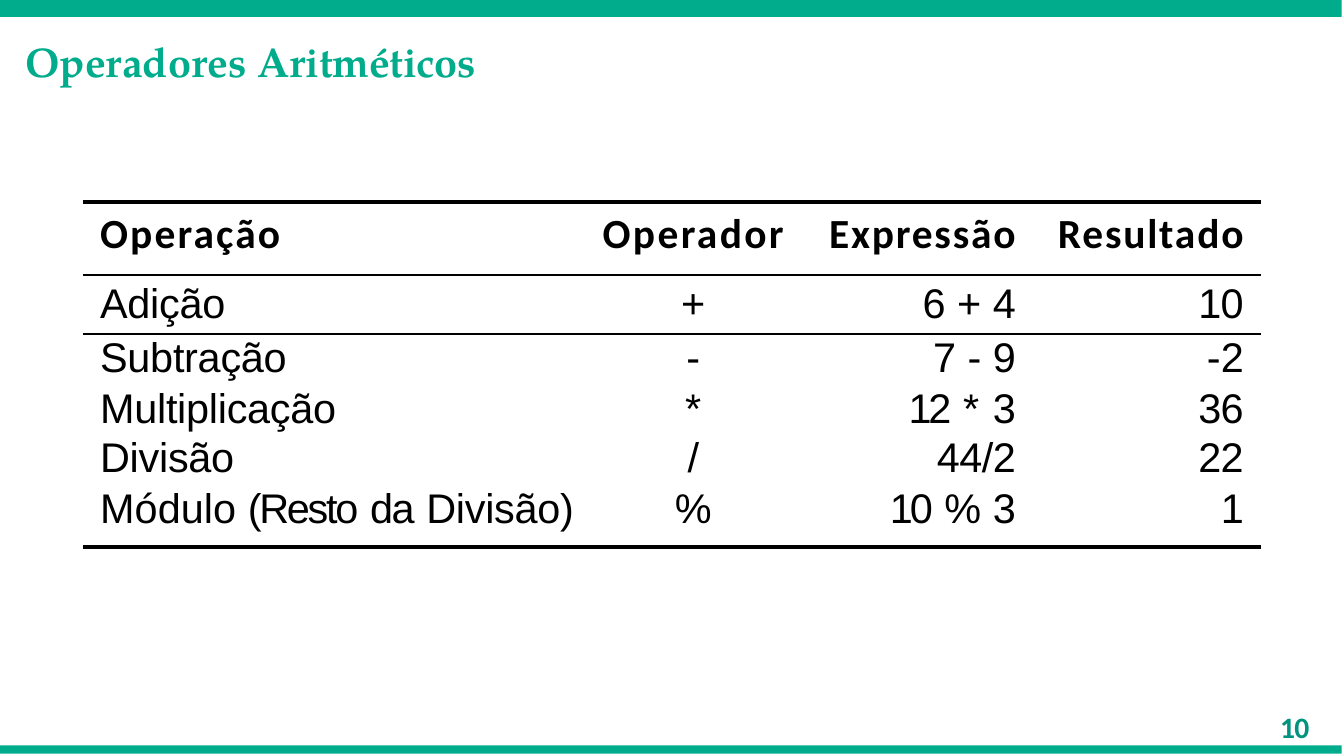
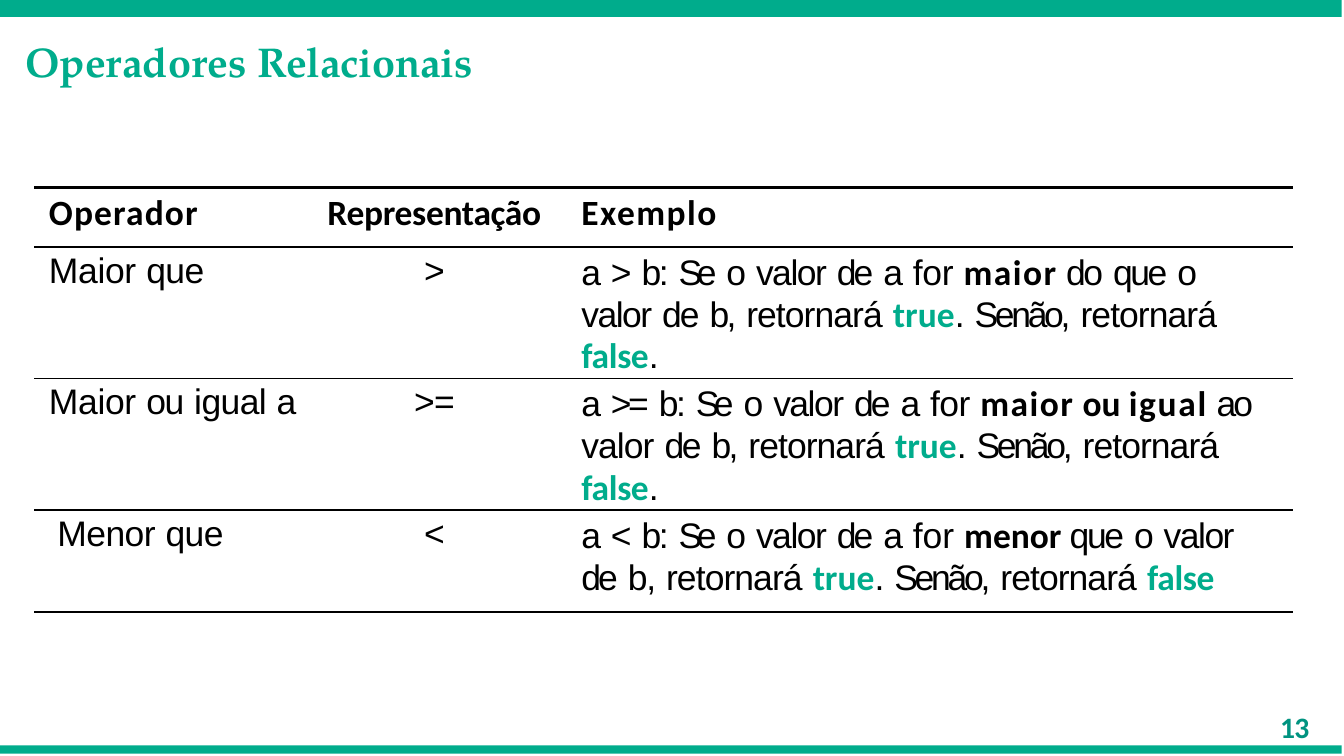
from itertools import groupby

from lxml.etree import SubElement
from pptx import Presentation
from pptx.dml.color import RGBColor
from pptx.enum.shapes import MSO_SHAPE
from pptx.enum.text import MSO_ANCHOR, PP_ALIGN
from pptx.oxml.ns import qn
from pptx.util import Inches, Pt

WIDTH, HEIGHT = 6.31, 3.55
BAND_WIDTH = 6.3
GREEN = RGBColor(0x00, 0xAC, 0x8C)
DARK_GREEN = RGBColor(0x00, 0x93, 0x80)
BLACK = RGBColor(0, 0, 0)
TITLE_FONT, BOLD_FONT, BODY_FONT = "TeX Gyre Pagella", "Calibri", "Arial"
NO_GRID_STYLE = "{2D5ABB26-0587-4C30-8999-92F81FD0307C}"
LEFT, CENTER, RIGHT = PP_ALIGN.LEFT, PP_ALIGN.CENTER, PP_ALIGN.RIGHT

# Cell layouts: top inset (inches), space before (points), line height (points)
TALL_HEAD, TALL_ROW, TIGHT_ROW = (0.03, 2.4, None), (0.03, 2.2, None), (0, 0, 15.8)
SMALL_HEAD, SMALL_ROW, SENTENCE = (0.02, 1.6, None), (0.02, 1.4, None), (0.03, 2.2, 14.1)

# Text is a list of spans: (words, letter spacing in points, optional emphasis)
EMPHASIS = {"bold": BLACK, "keyword": GREEN}


def example(symbol, symbol_spacing, for_spacing, *middle):
    """Sentence explaining a relational operator, up to the word false."""
    return [
        ("a ", -1.1), (symbol + " ", symbol_spacing), ("b: ", -0.8), ("Se ", -1.9),
        ("o ", -0.8), ("valor ", -0.5), ("de ", -1), ("a ", -1.1), ("for ", for_spacing),
        *middle,
        ("retornará ", -0.3), ("true", 0, "keyword"), (". ", 0), ("Senão, ", -1.1),
        ("retornará ", -0.3), ("false", -0.1, "keyword"),
    ]


# Content: columns are (width, alignment, right margin), rows are (height, layouts, cells),
# rules are line widths above, between and below the rows
SLIDES = [
    {
        "title": [("Operadores ", 0), ("Aritméticos", -0.1)],
        "number": "10",
        "corner": (0.39, 0.95),
        "size": 14,
        "indent": 0.08,
        "columns": [(2.34, LEFT, 0), (1.05, CENTER, 0),
                    (1.07, RIGHT, 0.08), (1.07, RIGHT, 0.08)],
        "rules": [1.5, 0.75, 0.75, 0, 0, 0, 1.5],
        "rows": [
            (0.34, [TALL_HEAD] * 4, [[("Operação", 0.7)], [("Operador", 0.8)],
                                     [("Expressão", 0.6)], [("Resultado", 0.6)]]),
            (0.28, [TALL_ROW] * 4, [[("Adição", -0.1)], [("+", -0.5)],
                                    [("6 ", -1.1), ("+ ", 0), ("4", -0.6)], [("10", -0.2)]]),
            (0.24, [TIGHT_ROW] * 4, [[("Subtração", -0.1)], [("-", -0.5)],
                                     [("7 ", -1.1), ("- ", 0), ("9", -0.5)],
                                     [("-", -0.5), ("2", -0.6)]]),
            (0.23, [TIGHT_ROW] * 4, [[("Multiplicação", -0.1)], [("*", 0.1)],
                                     [("12 ", -1.1), ("* ", 0.7), ("3", -0.5)],
                                     [("36", -0.2)]]),
            (0.24, [TIGHT_ROW] * 4, [[("Divisão", -0.1)], [("/", 0.2)],
                                     [("44/2", -0.2)], [("22", -0.2)]]),
            (0.29, [TIGHT_ROW] * 4, [[("Módulo ", 0), ("(Resto ", -0.8), ("da ", -0.5),
                                      ("Divisão)", -0.1)], [("%", -3.2)],
                                     [("10 ", -1.1), ("% ", -2.8), ("3", -0.5)],
                                     [("1", -0.5)]]),
        ],
    },
    {
        "title": [("Operadores ", 0), ("Relacionais", -0.1)],
        "number": "13",
        "corner": (0.16, 0.88),
        "size": 12,
        "indent": 0.07,
        "row_indents": {3: 0.11},
        "columns": [(1.26, LEFT, 0), (1.24, CENTER, 0), (3.41, LEFT, 0.12)],
        "rules": [1, 0.75, 0.75, 0.75, 1],
        "rows": [
            (0.28, [SMALL_HEAD] * 3,
             [[("Operador", 0.4)], [("Representação", -0.1)], [("Exemplo", 0.5)]]),
            (0.47, [SMALL_ROW, SMALL_ROW, SENTENCE],
             [[("Maior ", -0.1), ("que", -0.2)], [(">", -0.5)],
              example(">", -1.4, -0.1, ("maior ", 0.5, "bold"), ("do que o ", -0.8),
                      ("valor ", -0.5), ("de ", -0.7), ("b, ", -0.9)) + [(".", -0.1)]]),
            (0.47, [SMALL_ROW, SMALL_ROW, SENTENCE],
             [[("Maior ", -0.1), ("ou ", -0.5), ("igual ", -0.2), ("a", -0.5)], [(">=", -0.2)],
              example(">=", -1.2, -0.2, ("maior ", 0.5, "bold"), ("ou ", 0, "bold"),
                      ("igual ", 0.6, "bold"), ("ao ", -1), ("valor ", -0.3),
                      ("de ", -0.8), ("b, ", -0.9)) + [(".", -0.1)]]),
            (0.48, [SMALL_ROW, SMALL_ROW, SENTENCE],
             [[("Menor que", -0.2)], [("<", -0.5)],
              example("<", -1.4, 0, ("menor ", 0, "bold"), ("que o ", -0.8),
                      ("valor ", -0.5), ("de ", -1), ("b, ", -0.4))]),
        ],
    },
]


def style_font(font, name, color, bold):
    font.name, font.bold = name, bold
    font.color.rgb = color


def write(para, spans, size, name, color, bold, before=0, indent=0):
    """Fill a paragraph with spans; letter spacing applies to words, not to blanks."""
    para.space_before = Pt(before)
    para.font.size = Pt(size)
    style_font(para.font, name, color, bold)
    para._p.get_or_add_pPr().set("marL", str(Inches(indent)))
    for words, spacing, *emphasis in spans:
        for blank, letters in groupby(words, str.isspace):
            span = para.add_run()
            span.text = "".join(letters)
            span.font.size = Pt(size)
            if emphasis:
                style_font(span.font, BOLD_FONT, EMPHASIS[emphasis[0]], True)
            else:
                style_font(span.font, name, color, bold)
            if not blank:
                span._r.get_or_add_rPr().set("spc", str(round(spacing * 100)))


def add_band(page, top, height):
    band = page.shapes.add_shape(MSO_SHAPE.RECTANGLE, 0, Inches(top),
                                 Inches(BAND_WIDTH), Inches(height))
    band.shadow.inherit = False
    band.fill.solid()
    band.fill.fore_color.rgb = GREEN
    band.line.fill.background()


def add_label(page, left, top, width, height, spans, **style):
    box = page.shapes.add_textbox(*map(Inches, (left, top, width, height)))
    frame = box.text_frame
    frame.word_wrap = True
    frame.margin_left = frame.margin_right = frame.margin_bottom = 0
    frame.margin_top = Inches(0.02)
    write(frame.paragraphs[0], spans, **style)


def set_borders(cell, above, below):
    properties = cell._tc.get_or_add_tcPr()
    for side, width in (("L", 0), ("R", 0), ("T", above), ("B", below)):
        line = SubElement(properties, qn("a:ln" + side), w=str(Pt(width)))
        if width:
            fill = SubElement(line, qn("a:solidFill"))
            SubElement(fill, qn("a:srgbClr"), val=str(BLACK))
        else:
            SubElement(line, qn("a:noFill"))


def add_operator_table(page, content):
    columns, rows, rules = content["columns"], content["rows"], content["rules"]
    left, top = content["corner"]
    width = sum(column[0] for column in columns)
    height = sum(row[0] for row in rows)
    frame = page.shapes.add_table(len(rows), len(columns),
                                  *map(Inches, (left, top, width, height)))
    table = frame.table
    table.first_row = table.horz_banding = False
    table._tbl.tblPr.find(qn("a:tableStyleId")).text = NO_GRID_STYLE
    for index, column in enumerate(columns):
        table.columns[index].width = Inches(column[0])

    for r, (row_height, layouts, texts) in enumerate(rows):
        table.rows[r].height = Inches(row_height)
        first_indent = content.get("row_indents", {}).get(r, content["indent"])
        for c, (layout, spans) in enumerate(zip(layouts, texts)):
            inset, before, line_height = layout
            _, align, right_margin = columns[c]
            cell = table.cell(r, c)
            cell.vertical_anchor = MSO_ANCHOR.TOP
            cell.margin_left = cell.margin_bottom = 0
            cell.margin_right = Inches(right_margin)
            cell.margin_top = Inches(inset)
            set_borders(cell, rules[r], rules[r + 1])
            cell.fill.background()
            para = cell.text_frame.paragraphs[0]
            para.alignment = align
            if line_height:
                para.line_spacing = Pt(line_height)
            indent = first_indent if c == 0 else content["indent"]
            write(para, spans, content["size"], BODY_FONT if r else BOLD_FONT, BLACK,
                  r == 0, before, indent if align == LEFT else 0)


def main():
    deck = Presentation()
    deck.slide_width, deck.slide_height = Inches(WIDTH), Inches(HEIGHT)
    for content in SLIDES:
        page = deck.slides.add_slide(deck.slide_layouts[6])
        add_band(page, 0, 0.08)
        add_label(page, 0.11, 0.15, 2.2, 0.27, content["title"], size=14,
                  name=TITLE_FONT, color=GREEN, bold=True, before=1.4, indent=0.01)
        add_operator_table(page, content)
        add_band(page, 3.5, 0.04)
        add_label(page, 5.97, 3.31, 0.24, 0.21, [(content["number"], -0.2)], size=10,
                  name=BOLD_FONT, color=DARK_GREEN, bold=True, before=1.2, indent=0.04)
    deck.save("out.pptx")


if __name__ == "__main__":
    main()
